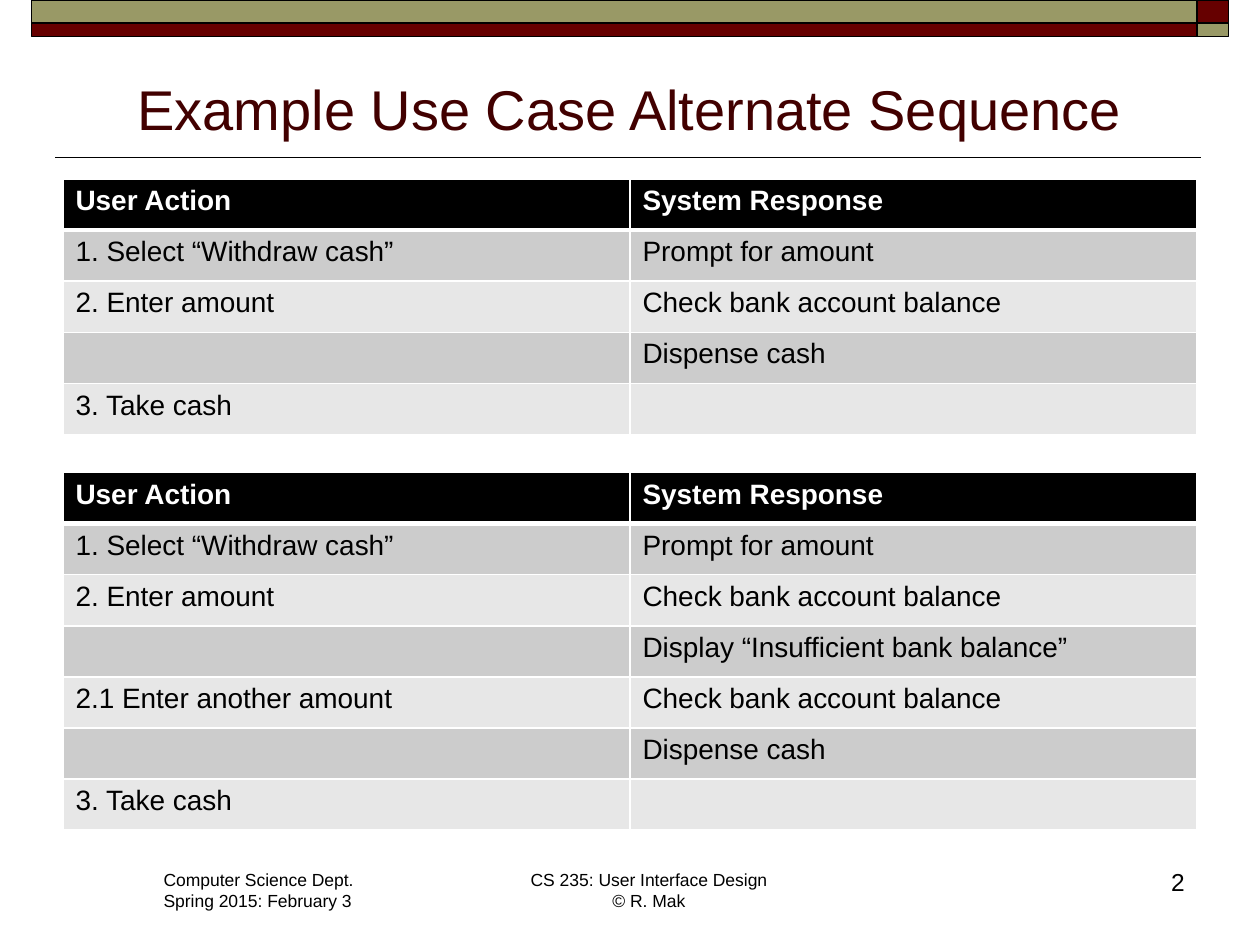
from lxml.etree import SubElement
from pptx import Presentation
from pptx.dml.color import RGBColor
from pptx.enum.shapes import MSO_CONNECTOR as Connector, MSO_SHAPE as Shape
from pptx.enum.text import MSO_ANCHOR as Anchor, PP_ALIGN as Align
from pptx.oxml.ns import qn
from pptx.util import Inches, Pt

COLORS = {
    "black": "000000", "white": "FFFFFF", "maroon": "660000", "olive": "999966",
    "title": "420000", "dark_band": "CCCCCC", "light_band": "E7E7E7",
}
HEADINGS = ("User Action", "System Response")
OPENING = [
    ("1. Select “Withdraw cash”", "Prompt for amount"),
    ("2. Enter amount", "Check bank account balance"),
]
CLOSING = [("", "Dispense cash"), ("3. Take cash", "")]
RETRY = [
    ("", "Display “Insufficient bank balance”"),
    ("2.1 Enter another amount", "Check bank account balance"),
]
MAIN_SEQUENCE = [HEADINGS, *OPENING, *CLOSING]
ALTERNATE_SEQUENCE = [HEADINGS, *OPENING, *RETRY, *CLOSING]


def color(name):
    """Return the named palette colour."""
    return RGBColor.from_string(COLORS[name])


def style_text(para, size, ink="black", bold=False):
    """Format every run of a paragraph."""
    formats = {"name": "Arial", "size": Pt(size), "bold": bold}
    for span in para.runs:
        for name, value in formats.items():
            setattr(span.font, name, value)
        span.font.color.rgb = color(ink)


def add_text(page, box, lines, size, ink="black", align=Align.LEFT,
             anchor=Anchor.TOP, wrap=True):
    """Place a text box with one paragraph per line."""
    frame = page.shapes.add_textbox(*map(Inches, box)).text_frame
    for name, value in {"word_wrap": wrap, "vertical_anchor": anchor}.items():
        setattr(frame, name, value)
    for index, line in enumerate(lines):
        para = frame.add_paragraph() if index else frame.paragraphs[0]
        para.text = line
        para.alignment = align
        style_text(para, size, ink)


def add_banner(page, box):
    """Draw the two-row banner with its contrasting end blocks."""
    left, top, width, height = box
    end, upper = 0.25, 0.18
    columns = [(left, width - end), (left + width - end, end)]
    rows = [(top, upper), (top + upper, height - upper)]
    for r, (y, high) in enumerate(rows):
        for c, (x, wide) in enumerate(columns):
            block = page.shapes.add_shape(
                Shape.RECTANGLE, *map(Inches, (x, y, wide, high)))
            block.shadow.inherit = False
            block.fill.solid()
            block.fill.fore_color.rgb = color("olive" if r == c else "maroon")
            block.line.color.rgb = color("black")
            block.line.width = Pt(1)


def add_heading(page, box, title):
    """Place the title and the rule beneath it."""
    left, top, width, height = box
    add_text(page, box, [title], 32, "title", Align.CENTER, Anchor.BOTTOM)
    y = top + height + 0.08
    rule = page.shapes.add_connector(
        Connector.STRAIGHT,
        *map(Inches, (left + width + 0.03, y, left - 0.06, y)))
    rule.line.color.rgb = color("black")
    rule.line.width = Pt(1)
    SubElement(rule._element.spPr, qn("a:effectLst"))


def add_borders(cell, widths):
    """Give a cell white borders with widths by side."""
    properties = cell._tc.get_or_add_tcPr()
    for side, width in widths.items():
        border = SubElement(properties, qn(f"a:ln{side}"), w=str(Pt(width)))
        fill = SubElement(border, qn("a:solidFill"))
        SubElement(fill, qn("a:srgbClr"), val=COLORS["white"])


def add_sequence(page, box, rows):
    """Build a table of user actions and system responses."""
    table = page.shapes.add_table(
        len(rows), len(HEADINGS), *map(Inches, box)).table
    for r, row in enumerate(rows):
        header = r == 0
        band = "black" if header else "dark_band" if r % 2 else "light_band"
        widths = {"L": 1, "R": 1, "T": 3 if r == 1 else 1, "B": 3 if header else 1}
        for c, text in enumerate(row):
            cell = table.cell(r, c)
            add_borders(cell, widths)
            cell.fill.solid()
            cell.fill.fore_color.rgb = color(band)
            cell.text = text
            style_text(cell.text_frame.paragraphs[0], 16,
                       "white" if header else "black", header)


def add_footer(page, box):
    """Place the department, course and page number."""
    left, top, width, height = box
    add_text(page, (left, top, 1.73, height),
             ["Computer Science Dept.", "Spring 2015: February 3"], 10, wrap=False)
    add_text(page, (left + 2.9, top, 2.1, height),
             ["CS 235: User Interface Design\n© R. Mak"], 10,
             align=Align.CENTER, wrap=False)
    add_text(page, (left + width - 2.08, top - 0.02, 2.08, 0.5), ["2"], 14,
             align=Align.RIGHT)


def main():
    """Build and save the deck."""
    deck = Presentation()
    deck.slide_width, deck.slide_height = Inches(10), Inches(7.5)
    page = deck.slides.add_slide(deck.slide_layouts[6])
    add_banner(page, (0.25, 0, 9.5, 0.29))
    add_heading(page, (0.5, 0.45, 9, 0.72), "Example Use Case Alternate Sequence")
    add_sequence(page, (0.5, 1.42, 9, 2.03), MAIN_SEQUENCE)
    add_sequence(page, (0.5, 3.75, 9, 2.84), ALTERNATE_SEQUENCE)
    add_footer(page, (1.2, 6.85, 8.3, 0.44))
    deck.save("out.pptx")


if __name__ == "__main__":
    main()
